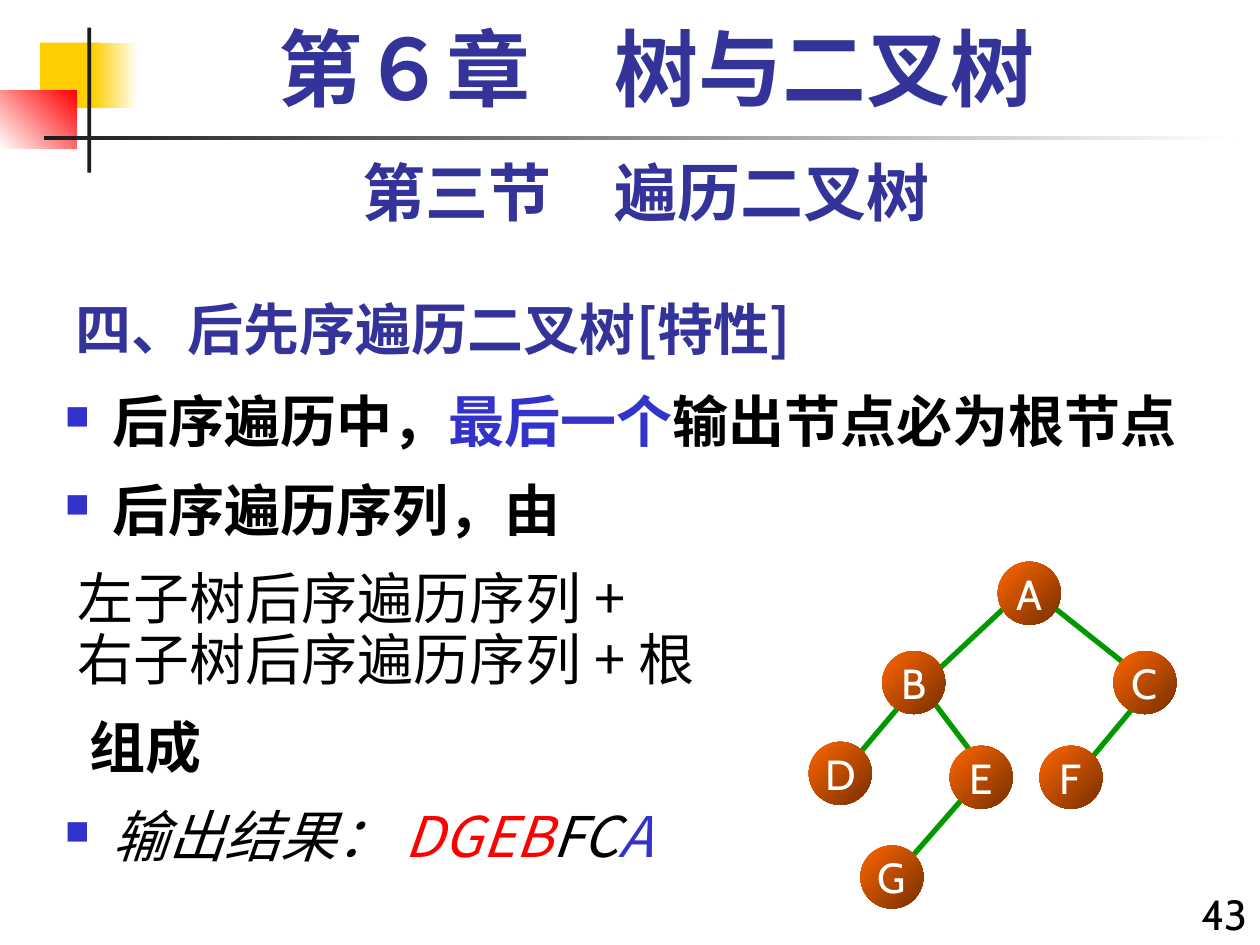
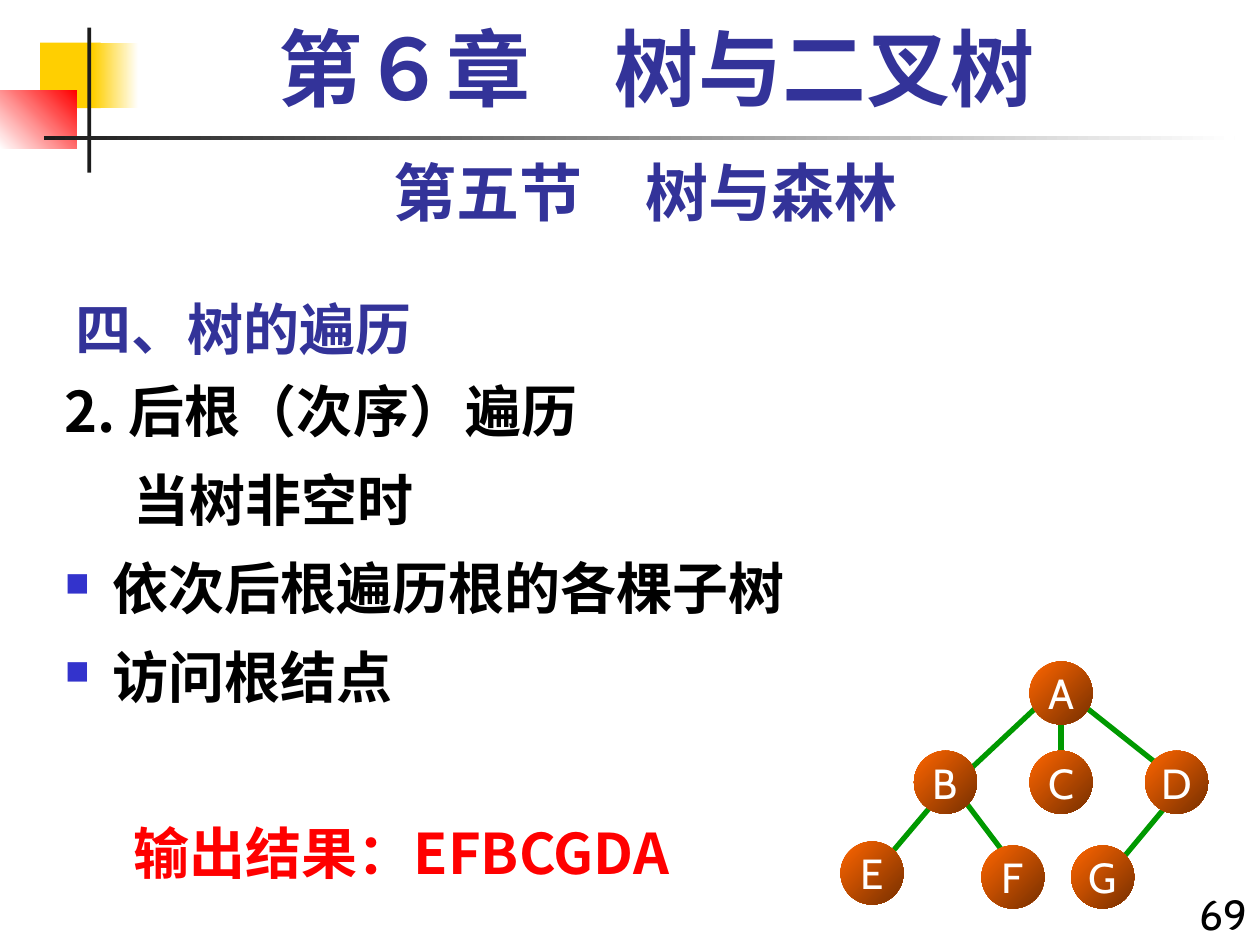
from dataclasses import dataclass

from lxml.etree import SubElement
from pptx import Presentation
from pptx.dml.color import RGBColor
from pptx.enum.shapes import MSO_CONNECTOR as Connector, MSO_SHAPE as Preset
from pptx.enum.text import MSO_ANCHOR as Anchor, PP_ALIGN as Align
from pptx.oxml.ns import qn
from pptx.util import Cm, Pt


@dataclass(frozen=True)
class Theme:
    heading: str = "333399"
    accent: str = "3333CC"
    text: str = "000000"
    highlight: str = "FF0000"
    dark: str = "1C1C1C"
    yellow: str = "FFCF01"
    white: str = "FFFFFF"
    branch: str = "009900"
    node_light: str = "FF6600"
    node_dark: str = "762F00"
    cjk_font: str = "Noto Sans CJK SC"
    plain_font: str = "Cabin"
    chapter_font: str = "Times New Roman"
    chapter_size: int = 48
    section_size: int = 36
    body_size: int = 32
    small_size: int = 24


theme = Theme()


def paint(shape, colors, angle=0):
    """Fill a shape with one colour, or a gradient at a clockwise angle."""
    shape.shadow.inherit = False
    shape.line.fill.background()
    if len(colors) == 1:
        shape.fill.solid()
        shape.fill.fore_color.rgb = RGBColor.from_string(colors[0])
        return
    shape.fill.gradient()
    shape.fill.gradient_angle = (360 - angle) % 360
    for stop, color in zip(shape.fill.gradient_stops, colors):
        stop.color.rgb = RGBColor.from_string(color)


def add_run(paragraph, text, size, color, font, bold=False, italic=False):
    run = paragraph.add_run()
    run.text = text
    run.font.size = Pt(size)
    run.font.bold = bold
    run.font.italic = italic
    run.font.color.rgb = RGBColor.from_string(color)
    run.font.name = font
    east_asian = SubElement(run._r.get_or_add_rPr(), qn("a:ea"))
    east_asian.set("typeface", theme.cjk_font)


# Shared decoration: left, top, width, height, colours, gradient angle
decoration = [
    (0.81, 0.86, 1.22, 1.32, [theme.yellow], 0),
    (1.88, 0.86, 0.91, 1.32, [theme.yellow, theme.white], 0),
    (0, 1.83, 1.55, 1.17, [theme.white, theme.highlight], 315),
    (1.76, 0.56, 0.08, 2.92, [theme.dark], 0),
    (0.89, 2.74, 24, 0.08, [theme.dark, theme.white], 0),
]

# Tree slots relative to the root centre: node centre, branch start, branch end
node_diameter = 1.27
tree_slots = {
    "root": ((0, 0), None, None),
    "left": ((-2.33, 1.8), (-0.33, 0.13), (-1.9, 1.6)),
    "middle": ((0, 1.8), (0, 0.58), (0, 1.22)),
    "right": ((2.33, 1.8), (0.3, 0.13), (1.9, 1.4)),
    "left-left": ((-3.81, 3.63), (-2.24, 1.83), (-3.4, 3.2)),
    "left-right": ((-0.97, 3.71), (-2.13, 1.93), (-1.17, 3.2)),
    "right-left": ((0.84, 3.71), (2.41, 1.93), (1.27, 3.3)),
    "left-right-left": ((-2.77, 5.72), (-1.17, 3.94), (-2.34, 5.28)),
}

# Body lines: bulleted, indent in cm, space before in points, bold, italic, runs
lessons = [
    {
        "section": "第三节　遍历二叉树",
        "title": "四、后先序遍历二叉树[特性]",
        "number": "43",
        "body_box": (1.06, 7.83, 24.34, 11.22),
        "body": [
            (True, 0.95, 0, True, False, [("后序遍历中，", theme.text),
                                          ("最后一个", theme.accent),
                                          ("输出节点必为根节点", theme.text)]),
            (True, 0.95, 16, True, False, [("后序遍历序列，由", theme.text)]),
            (False, 0.25, 16, False, False, [("左子树后序遍历序列 +", theme.text)]),
            (False, 0.25, 0, False, False, [("右子树后序遍历序列 + 根", theme.text)]),
            (False, 0.5, 16, True, False, [("组成", theme.text)]),
            (True, 0.95, 16, False, True, [("输出结果： ", theme.text),
                                           ("DGEB", theme.highlight),
                                           ("FC", theme.text),
                                           ("A", theme.accent)]),
        ],
        "root": (20.75, 11.96),
        "nodes": {"root": "A", "left": "B", "right": "C", "left-left": "D",
                  "left-right": "E", "right-left": "F", "left-right-left": "G"},
    },
    {
        "section": "第五节　树与森林",
        "title": "四、树的遍历",
        "number": "69",
        "body_box": (1.06, 7.62, 15.66, 11.43),
        "body": [
            (False, 0, 0, True, False, [("2. 后根（次序）遍历", theme.text)]),
            (False, 1.38, 16, True, False, [("当树非空时", theme.text)]),
            (True, 0.95, 16, True, False, [("依次后根遍历根的各棵子树", theme.text)]),
            (True, 0.95, 16, True, False, [("访问根结点", theme.text)]),
            (False, 1.38, 66, True, False, [("输出结果：EFBCGDA", theme.highlight)]),
        ],
        "root": (21.39, 13.97),
        "nodes": {"root": "A", "left": "B", "middle": "C", "right": "D",
                  "left-left": "E", "left-right": "F", "right-left": "G"},
    },
]

presentation = Presentation()
presentation.slide_width = Cm(25.4)
presentation.slide_height = Cm(19.05)

for lesson in lessons:
    slide = presentation.slides.add_slide(presentation.slide_layouts[6])

    for left, top, width, height, colors, angle in decoration:
        band = slide.shapes.add_shape(
            Preset.RECTANGLE, Cm(left), Cm(top), Cm(width), Cm(height))
        paint(band, colors, angle)

    headings = [
        ((1.7, 0.43, 23.06, 2.11), "第６章　树与二叉树", theme.chapter_size,
         theme.heading, theme.chapter_font, True, Align.CENTER, Anchor.TOP, 0.9),
        ((1.27, 2.97, 23.5, 1.78), lesson["section"], theme.section_size,
         theme.heading, theme.plain_font, True, Align.CENTER, Anchor.TOP, 1.0),
        ((1.27, 5.51, 15.88, 1.9), lesson["title"], theme.body_size,
         theme.heading, theme.cjk_font, True, Align.LEFT, Anchor.BOTTOM, 1.0),
        ((23.7, 17.78, 1.7, 1.27), lesson["number"], theme.small_size,
         theme.text, theme.plain_font, False, Align.RIGHT, Anchor.TOP, 1.0),
    ]
    for box, text, size, color, font, bold, alignment, anchor, spacing in headings:
        frame = slide.shapes.add_textbox(*map(Cm, box)).text_frame
        frame.word_wrap = True
        frame.vertical_anchor = anchor
        paragraph = frame.paragraphs[0]
        paragraph.alignment = alignment
        paragraph.line_spacing = spacing
        add_run(paragraph, text, size, color, font, bold)

    frame = slide.shapes.add_textbox(*map(Cm, lesson["body_box"])).text_frame
    frame.word_wrap = True
    for index, line in enumerate(lesson["body"]):
        bulleted, indent, space_before, bold, italic, runs = line
        paragraph = frame.add_paragraph() if index else frame.paragraphs[0]
        properties = paragraph._p.get_or_add_pPr()
        properties.set("marL", str(Cm(indent)))
        properties.set("indent", str(-Cm(indent) if bulleted else 0))
        if bulleted:
            bullet_color = SubElement(properties, qn("a:buClr"))
            SubElement(bullet_color, qn("a:srgbClr")).set("val", theme.accent)
            SubElement(properties, qn("a:buSzPct")).set("val", "60000")
            SubElement(properties, qn("a:buChar")).set("char", "■")
        paragraph.line_spacing = 0.9
        if space_before:
            paragraph.space_before = Pt(space_before)
        for text, color in runs:
            add_run(paragraph, text, theme.body_size, color, theme.cjk_font, bold, italic)

    tree = slide.shapes.add_group_shape()
    root_x, root_y = lesson["root"]
    for slot in lesson["nodes"]:
        center, start, end = tree_slots[slot]
        if start is None:
            continue
        branch = tree.shapes.add_connector(
            Connector.STRAIGHT, Cm(root_x + start[0]), Cm(root_y + start[1]),
            Cm(root_x + end[0]), Cm(root_y + end[1]))
        branch.line.color.rgb = RGBColor.from_string(theme.branch)
        branch.line.width = Pt(3)
        SubElement(branch._element.spPr, qn("a:effectLst"))

    for slot, letter in lesson["nodes"].items():
        center_x, center_y = tree_slots[slot][0]
        node = tree.shapes.add_shape(
            Preset.OVAL, Cm(root_x + center_x - node_diameter / 2),
            Cm(root_y + center_y - node_diameter / 2),
            Cm(node_diameter), Cm(node_diameter))
        paint(node, [theme.node_light, theme.node_dark], 45)
        frame = node.text_frame
        frame.word_wrap = False
        frame.margin_left = frame.margin_right = 0
        frame.vertical_anchor = Anchor.MIDDLE
        paragraph = frame.paragraphs[0]
        paragraph.alignment = Align.CENTER
        add_run(paragraph, letter, theme.small_size, theme.white, theme.plain_font)

presentation.save("out.pptx")
